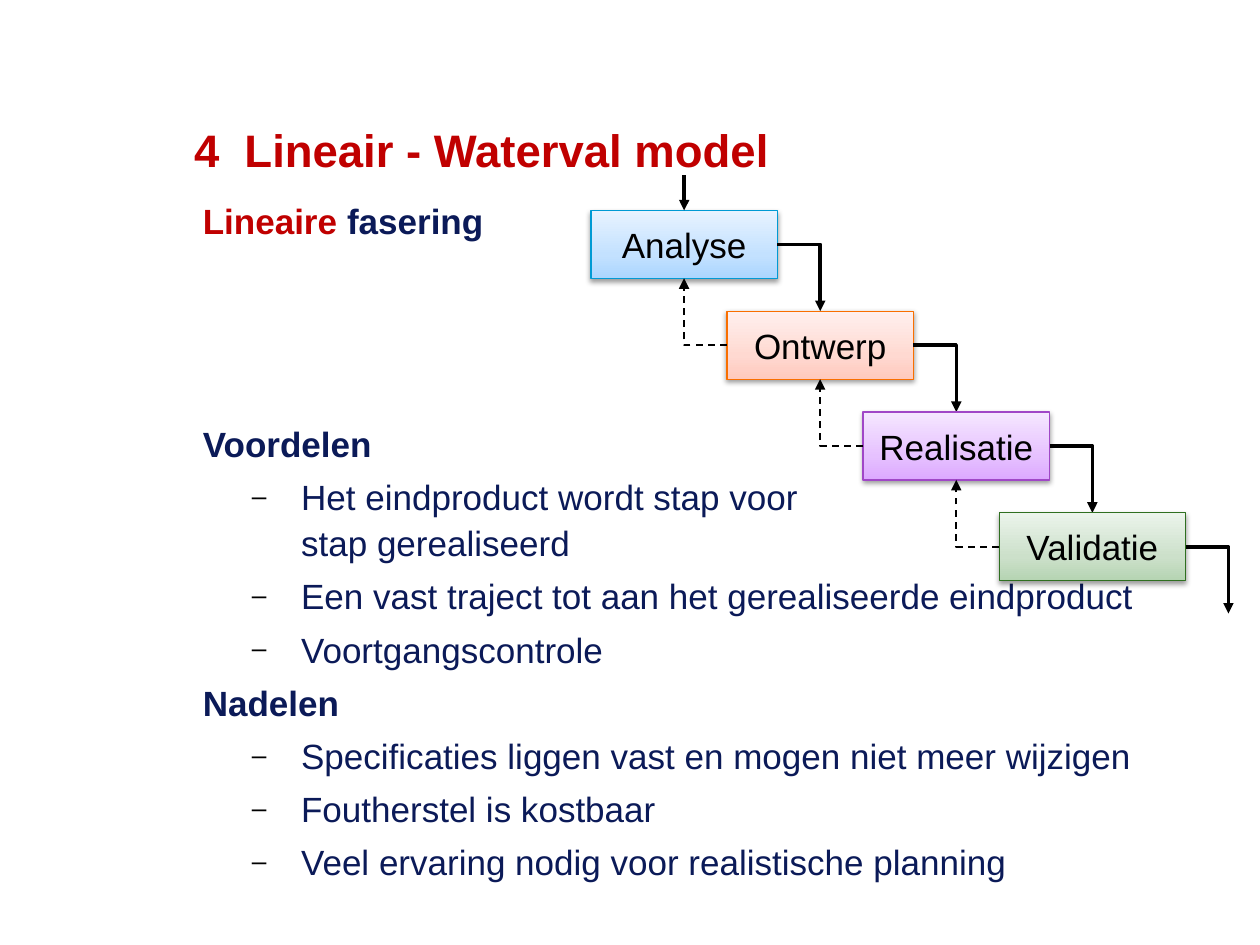
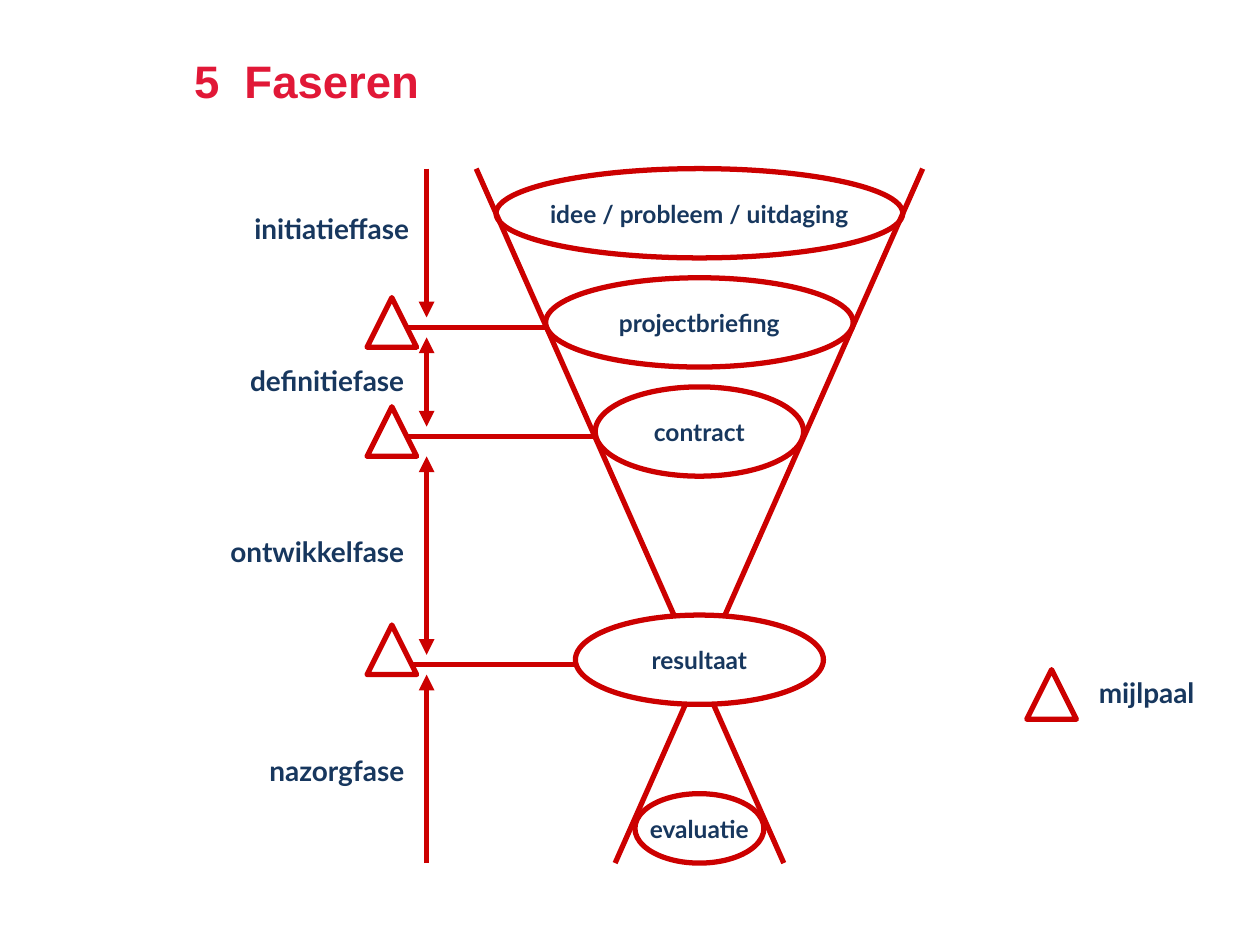
from copy import deepcopy
from dataclasses import dataclass

from lxml.etree import SubElement
from pptx import Presentation
from pptx.dml.color import RGBColor as RGB
from pptx.enum.dml import MSO_LINE as Dash
from pptx.enum.shapes import MSO_CONNECTOR as Route, MSO_SHAPE as Preset
from pptx.enum.text import MSO_ANCHOR as Anchor, MSO_AUTO_SIZE as Fit, PP_ALIGN as Align
from pptx.oxml.ns import qn
from pptx.util import Cm, Inches, Pt


@dataclass(frozen=True)
class Theme:
    heading_font: str = "Arial"
    diagram_font: str = "Lato"
    red: str = "C00000"
    bright_red: str = "E11837"
    outline_red: str = "CC0000"
    navy: str = "0B1A58"
    label_blue: str = "17375E"
    black: str = "000000"
    white: str = "FFFFFF"
    title_size: int = 26
    body_size: int = 20
    label_size: int = 16
    oval_size: int = 14
    outline: int = 3


theme = Theme()


def style_text(paragraph, font, size, color, bold=False, align=Align.LEFT):
    paragraph.alignment = align
    for run in paragraph.runs:
        run.font.name, run.font.size, run.font.bold = font, Pt(size), bold
        run.font.color.rgb = RGB.from_string(color)


def draw_line(slide, start, end, color, width, heads=(), bent=False, dashed=False):
    line = slide.shapes.add_connector(Route.ELBOW if bent else Route.STRAIGHT, *start, *end)
    line.line.color.rgb = RGB.from_string(color)
    line.line.width = Pt(width)
    if dashed:
        line.line.dash_style = Dash.DASH
    properties = line._element.spPr
    if bent:
        properties.find(qn("a:prstGeom")).set("prst", "bentConnector2")
    for head in heads:
        SubElement(properties.find(qn("a:ln")), qn(f"a:{head}")).set("type", "triangle")
    SubElement(properties, qn("a:effectLst"))


deck = Presentation()
deck.slide_width, deck.slide_height = Inches(10), Inches(7.5)
title_only = deck.slide_layouts[5]

# Titles: the number hangs in front of the wording
titles = [
    ("4\tLineair - Waterval model", theme.red, 0.21, 9, 1.25),
    ("5\tFaseren", theme.bright_red, 0.36, 7.79, 0.55),
]
for wording, color, top, width, height in titles:
    title = deck.slides.add_slide(title_only).shapes.title
    title.left, title.top = Inches(1.54), Inches(top)
    title.width, title.height = Inches(width), Inches(height)
    frame = title.text_frame
    frame.text = wording
    frame.auto_size, frame.vertical_anchor, frame.margin_left = Fit.NONE, Anchor.BOTTOM, 0
    heading = frame.paragraphs[0]
    heading.line_spacing = 0.9
    style_text(heading, theme.heading_font, theme.title_size, color, bold=True)
    indent = heading._p.get_or_add_pPr()
    indent.set("marL", str(Inches(0.4)))
    indent.set("indent", str(-Inches(0.4)))
waterfall, phasing = deck.slides

# Waterfall: pros and cons (wording, is a bullet, space before)
points = [
    ("Lineaire fasering", False, 0),
    ("Voordelen", False, 101),
    ("Het eindproduct wordt stap voor \vstap gerealiseerd", True, 4),
    ("Een vast traject tot aan het gerealiseerde eindproduct", True, 4),
    ("Voortgangscontrole", True, 4),
    ("Nadelen", False, 4),
    ("Specificaties liggen vast en mogen niet meer wijzigen", True, 4),
    ("Foutherstel is kostbaar", True, 4),
    ("Veel ervaring nodig voor realistische planning", True, 4),
]
body = waterfall.shapes.add_textbox(Inches(1.61), Inches(1.5), Inches(7.89), Inches(5.75)).text_frame
body.word_wrap, body.margin_left = True, 0
for number, (wording, bulleted, gap) in enumerate(points):
    point = body.add_paragraph() if number else body.paragraphs[0]
    point.text = wording
    point.line_spacing, point.space_before = Pt(26.4), Pt(gap)
    style_text(point, theme.heading_font, theme.body_size, theme.navy, bold=not bulleted)
    indent = point._p.get_or_add_pPr()
    indent.set("marL", str(Inches(0.78 if bulleted else 0.39)))
    indent.set("indent", str(-Inches(0.39)))
    if bulleted:
        point.level = 1
        SubElement(SubElement(indent, qn("a:buClr")), qn("a:srgbClr")).set("val", theme.black)
        SubElement(indent, qn("a:buSzPct")).set("val", "75000")
        SubElement(indent, qn("a:buFont")).set("typeface", theme.heading_font)
        SubElement(indent, qn("a:buChar")).set("char", "–")

# The first word of the opening line stands out in red
opening = body.paragraphs[0]
opening.runs[0].text = "Lineaire"
opening.add_run().text = " fasering"
style_text(opening, theme.heading_font, theme.body_size, theme.navy, bold=True)
opening.runs[0].font.color.rgb = RGB.from_string(theme.red)

# Waterfall: steps going down a staircase (name, gradient, outline)
steps = [
    ("Analyse", ("ABD6FF", "C3E1FF", "E8F3FF"), "009AD4"),
    ("Ontwerp", ("FFC9BD", "FFD9D1", "FFF0EE"), "F96F00"),
    ("Realisatie", ("DCA8FF", "E6C1FF", "F5E7FF"), "A047C7"),
    ("Validatie", ("B5D4B2", "CCE0CA", "EBF4EB"), "2F6F20"),
]
step_width, step_height = Inches(1.48), Inches(0.54)
column, row = Inches(1.08), Inches(0.8)
first_left, first_top = Inches(4.69), Inches(1.67)
for number, (name, shades, edge) in enumerate(steps):
    left, top = first_left + number * column, first_top + number * row
    step = waterfall.shapes.add_shape(Preset.RECTANGLE, left, top, step_width, step_height)
    step.fill.gradient()
    step.fill.gradient_angle = 90
    stops = step._element.spPr.find(qn("a:gradFill")).find(qn("a:gsLst"))
    stops.insert(1, deepcopy(stops[0]))
    for stop, shade, position in zip(step.fill.gradient_stops, shades, (0, 0.35, 1)):
        stop.color.rgb, stop.position = RGB.from_string(shade), position
    step.line.color.rgb, step.line.width = RGB.from_string(edge), Pt(0.75)
    step.shadow.inherit = False
    shadow = SubElement(step._element.spPr.find(qn("a:effectLst")), qn("a:outerShdw"),
                        blurRad=str(Pt(3.1)), dist=str(Pt(1.6)), dir="5400000", rotWithShape="0")
    tint = SubElement(shadow, qn("a:srgbClr"), val=theme.black)
    SubElement(tint, qn("a:alpha"), val="38000")
    step.text_frame.text = name
    step.text_frame.word_wrap, step.text_frame.vertical_anchor = False, Anchor.MIDDLE
    style_text(step.text_frame.paragraphs[0], theme.heading_font, theme.body_size,
               theme.black, align=Align.CENTER)

    # Onward arrow from each step, feedback arrow from all but the first
    middle, centre = top + step_height // 2, left + step_width // 2
    draw_line(waterfall, (left + step_width, middle), (centre + column, top + row),
              theme.black, 2, ["tailEnd"], bent=True)
    if number:
        draw_line(waterfall, (left, middle), (centre - column, top - row + step_height),
                  theme.black, 1, ["tailEnd"], bent=True, dashed=True)

entry = first_left + step_width // 2
draw_line(waterfall, (entry, Inches(1.39)), (entry, first_top), theme.black, 2, ["tailEnd"])

# Phasing: all lengths on a centimetre grid
axis, start, finish = 14.1, 3.4, 17.4
for top_x, bottom_x in ((9.6, 15.8), (18.6, 12.4)):
    draw_line(phasing, (Cm(top_x), Cm(start)), (Cm(bottom_x), Cm(finish)),
              theme.outline_red, theme.outline)

# Outcomes in the funnel (name, top, width, height)
outcomes = [
    ("idee / probleem / uitdaging", 3.4, 8.2, 1.8),
    ("projectbriefing", 5.6, 6.2, 1.8),
    ("contract", 7.8, 4.2, 1.8),
    ("resultaat", 12.4, 5, 1.8),
    ("evaluatie", 16, 2.6, 1.4),
]
for name, top, width, height in outcomes:
    oval = phasing.shapes.add_shape(Preset.OVAL, Cm(axis - width / 2), Cm(top), Cm(width), Cm(height))
    oval.shadow.inherit = False
    if name == "resultaat":
        oval.fill.solid()
        oval.fill.fore_color.rgb = RGB.from_string(theme.white)
    else:
        oval.fill.background()
    oval.line.color.rgb, oval.line.width = RGB.from_string(theme.outline_red), Pt(theme.outline)
    oval.text_frame.text = name
    oval.text_frame.word_wrap, oval.text_frame.vertical_anchor = False, Anchor.MIDDLE
    style_text(oval.text_frame.paragraphs[0], theme.diagram_font, theme.oval_size,
               theme.label_blue, bold=True, align=Align.CENTER)

# Lines from the outcomes to their milestones
for (name, top, width, height), level in zip(outcomes[1:4], (6.6, 8.8, 13.4)):
    draw_line(phasing, (Cm(axis - width / 2), Cm(level)), (Cm(8.2), Cm(level)),
              theme.outline_red, theme.outline)

# Time axis, one arrow per phase
spans = [
    (start, 6.4, ["tailEnd"]),
    (6.8, 8.6, ["headEnd", "tailEnd"]),
    (9.2, 13.2, ["headEnd", "tailEnd"]),
    (finish, 13.6, ["tailEnd"]),
]
for begin, end, heads in spans:
    draw_line(phasing, (Cm(8.6), Cm(begin)), (Cm(8.6), Cm(end)),
              theme.outline_red, theme.outline, heads)

# Milestones, the last one for the legend
for left, top in ((7.4, 6), (7.4, 8.2), (7.4, 12.6), (20.7, 13.5)):
    milestone = phasing.shapes.add_shape(Preset.ISOSCELES_TRIANGLE, Cm(left), Cm(top), Cm(1), Cm(1))
    milestone.shadow.inherit = False
    milestone.fill.solid()
    milestone.fill.fore_color.rgb = RGB.from_string(theme.white)
    milestone.line.color.rgb = RGB.from_string(theme.outline_red)
    milestone.line.width = Pt(theme.outline)

# Phase names and legend (name, right edge, top, width)
labels = [
    ("initiatieffase", 8.5, 4.14, 4.4),
    ("definitiefase", 8.4, 7.2, 4.4),
    ("ontwikkelfase", 8.4, 10.66, 4.4),
    ("nazorgfase", 8.4, 15.06, 4.4),
    ("mijlpaal", 24.33, 13.5, 2.63),
]
for name, right, top, width in labels:
    label = phasing.shapes.add_textbox(Cm(right - width), Cm(top), Cm(width), Cm(0.94)).text_frame
    label.text = name
    label.word_wrap = True
    style_text(label.paragraphs[0], theme.diagram_font, theme.label_size,
               theme.label_blue, bold=True, align=Align.RIGHT)

deck.save("out.pptx")
